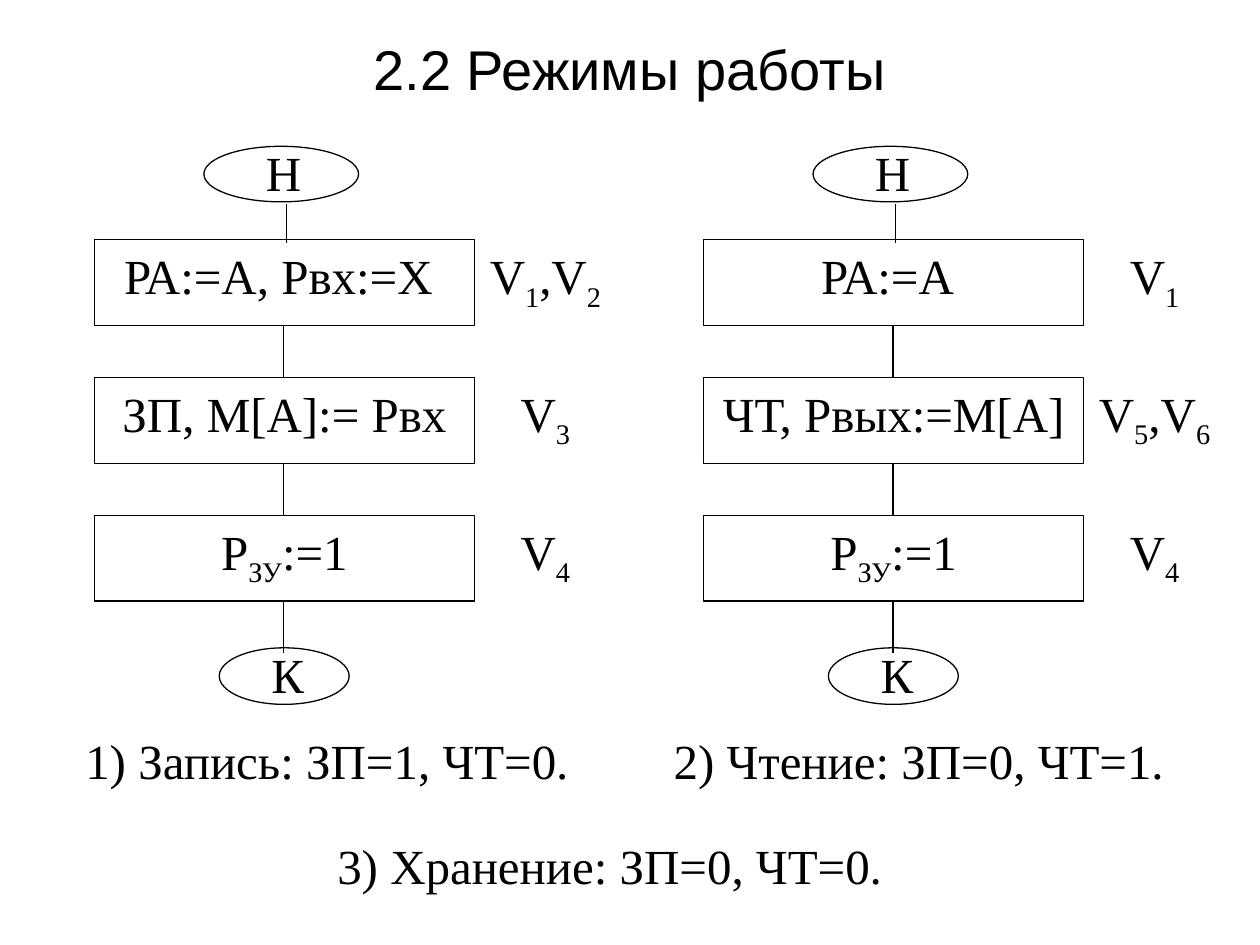
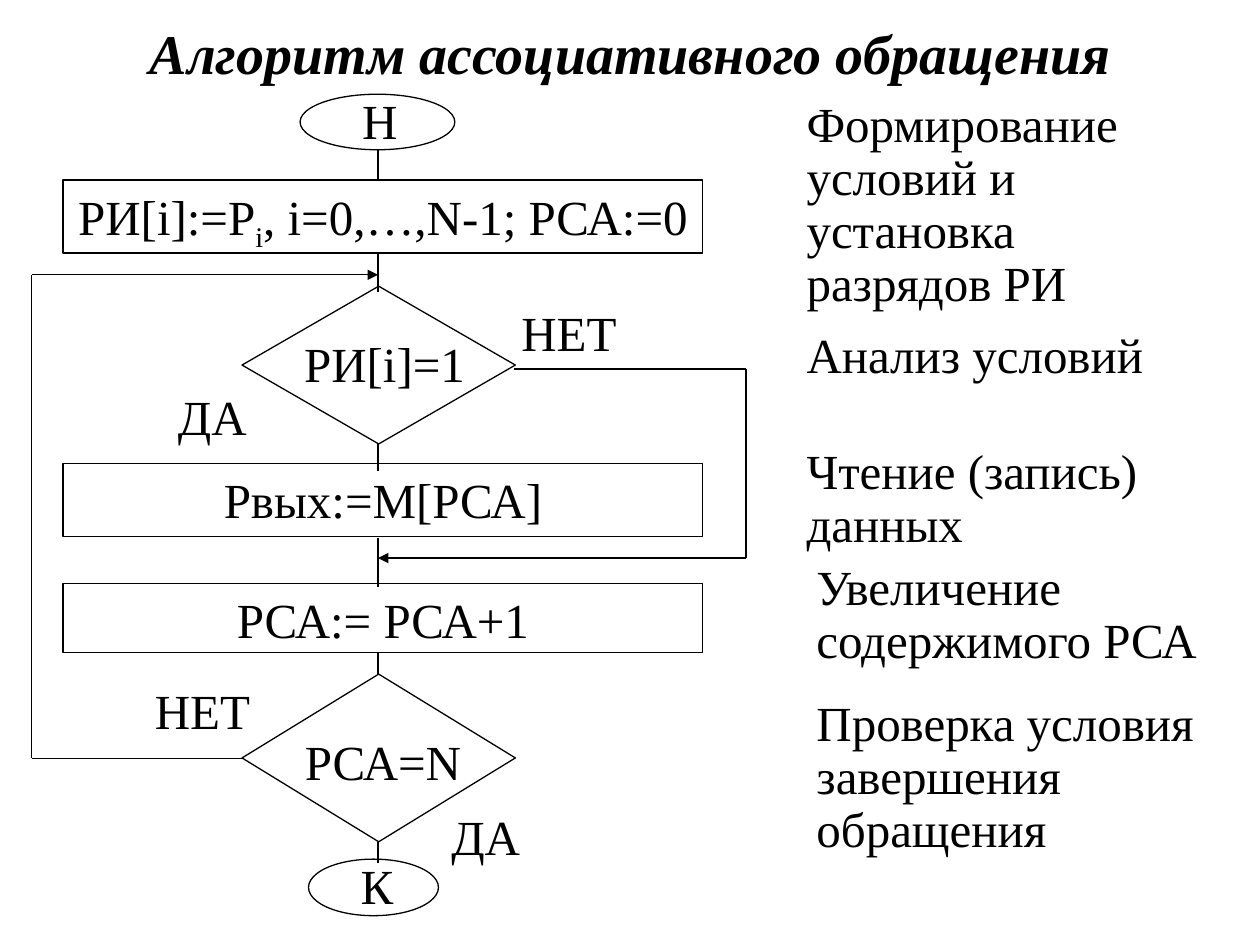
from lxml import etree
from pptx import Presentation
from pptx.dml.color import RGBColor
from pptx.enum.shapes import MSO_CONNECTOR, MSO_SHAPE
from pptx.enum.text import MSO_ANCHOR, PP_ALIGN
from pptx.oxml.ns import qn
from pptx.util import Cm, Pt

RECTANGLE = MSO_SHAPE.RECTANGLE
ELLIPSE = MSO_SHAPE.OVAL
DIAMOND = MSO_SHAPE.DIAMOND
STRAIGHT = MSO_CONNECTOR.STRAIGHT
LEFT, CENTER = PP_ALIGN.LEFT, PP_ALIGN.CENTER
TOP, MIDDLE = MSO_ANCHOR.TOP, MSO_ANCHOR.MIDDLE

# Shared look
INK = "000000"
PAPER = "FFFFFF"
LINE_WIDTH = Pt(0.75)
BODY_FONT = {"name": "Times New Roman", "size": Pt(28)}
TITLE_FONT = {"name": "Arial", "size": Pt(32)}
ITALIC_TITLE_FONT = {"name": "Times New Roman", "size": Pt(32), "bold": True, "italic": True}
CENTERED = {"alignment": CENTER}
CAPTION = {"alignment": LEFT, "space_before": Pt(7)}
NOTE = {**CAPTION, "line_spacing": 0.9}
NOTE_INDENT = Cm(0.97)

# Start and end symbols: ellipse size, label size, label shift (cm)
TERMINALS = {
    "Н": ((3.12, 1.12), (4.17, 1.52), (-0.48, -0.2)),
    "К": ((2.62, 1.14), (3.48, 1.27), (-0.36, -0.2)),
}


def colour(hex_value):
    return RGBColor.from_string(hex_value)


def set_attributes(target, values):
    for name, value in values.items():
        setattr(target, name, value)


def write_text(shape, text, font=BODY_FONT, layout=CENTERED, anchor=TOP):
    """Write one paragraph; parts between underscores become subscripts."""
    frame = shape.text_frame
    set_attributes(frame, {"word_wrap": True, "vertical_anchor": anchor})
    paragraph = frame.paragraphs[0]
    set_attributes(paragraph, layout)
    for index, part in enumerate(text.split("_")):
        if not part:
            continue
        run = paragraph.add_run()
        run.text = part
        set_attributes(run.font, font)
        run.font.color.rgb = colour(INK)
        if index % 2:
            run._r.get_or_add_rPr().set("baseline", "-25000")


def add_label(slide, box, text, **text_format):
    label = slide.shapes.add_textbox(*map(Cm, box))
    write_text(label, text, **text_format)
    return label


def add_outline(slide, kind, box):
    shape = slide.shapes.add_shape(kind, *map(Cm, box))
    shape.shadow.inherit = False
    shape.fill.background()
    shape.line.color.rgb = colour(INK)
    shape.line.width = LINE_WIDTH
    return shape


def add_process(slide, box, text):
    write_text(add_outline(slide, RECTANGLE, box), text)


def add_decision(slide, box, text, label_box):
    add_outline(slide, DIAMOND, box)
    add_label(slide, label_box, text)


def add_terminal(slide, left, top, text):
    size, label_size, (shift_x, shift_y) = TERMINALS[text]
    add_outline(slide, ELLIPSE, (left, top, *size))
    add_label(slide, (left + shift_x, top + shift_y, *label_size), text)


def add_path(slide, points, arrow=False):
    """Join the points by straight lines, with an optional arrowhead at the end."""
    for start, end in zip(points, points[1:]):
        connector = slide.shapes.add_connector(STRAIGHT, *map(Cm, (*start, *end)))
        connector.line.color.rgb = colour(INK)
        connector.line.width = LINE_WIDTH
        properties = connector._element.spPr
        etree.SubElement(properties, qn("a:effectLst"))
    if arrow:
        etree.SubElement(properties.find(qn("a:ln")), qn("a:tailEnd"), type="triangle")


def add_note(slide, box, text):
    note = add_label(slide, box, text, layout=NOTE)
    properties = note.text_frame.paragraphs[0]._p.get_or_add_pPr()
    properties.set("marL", str(NOTE_INDENT))


def add_slide(presentation, title, title_box, title_font):
    slide = presentation.slides.add_slide(presentation.slide_layouts[6])
    slide.background.fill.solid()
    slide.background.fill.fore_color.rgb = colour(PAPER)
    add_label(slide, title_box, title, font=title_font, anchor=MIDDLE)
    return slide


def add_mode_flowchart(slide, left, steps):
    """Draw one column: start, three operations with their signals, end."""
    axis = left + 3.82
    add_terminal(slide, left + 2.21, 2.95, "Н")
    add_path(slide, [(axis + 0.05, 4.11), (axis + 0.05, 4.9)])
    for row, (operation, signals) in enumerate(steps):
        top = 4.83 + row * 2.78
        add_process(slide, (left, top, 7.67, 1.73), operation)
        add_label(slide, (left + 7.01, top, 4.17, 1.52), signals)
        add_path(slide, [(axis, top + 1.73), (axis, top + 2.78)])
    add_terminal(slide, left + 2.52, 13.06, "К")


def build_modes(presentation):
    slide = add_slide(presentation, "2.2 Режимы работы",
                      (1.9, 0.64, 21.59, 1.47), TITLE_FONT)
    write_steps = [("РА:=А, Рвх:=Х ", "V_1_,V_2_"),
                   ("ЗП, М[А]:= Рвх", "V_3_"),
                   ("Р_ЗУ_:=1", "V_4_")]
    read_steps = [("РА:=А ", "V_1_"),
                  ("ЧТ, Рвых:=М[А]", "V_5_,V_6_"),
                  ("Р_ЗУ_:=1", "V_4_")]
    for left, steps in ((1.9, write_steps), (14.18, read_steps)):
        add_mode_flowchart(slide, left, steps)

    captions = [((1.47, 14.6, 10.36, 1.47), "1) Запись: ЗП=1, ЧТ=0."),
                ((13.33, 14.6, 10.59, 1.47), "2) Чтение: ЗП=0, ЧТ=1."),
                ((6.55, 16.71, 12.5, 1.47), "3) Хранение: ЗП=0, ЧТ=0.")]
    for box, text in captions:
        add_label(slide, box, text, layout=CAPTION)


def build_associative_access(presentation):
    slide = add_slide(presentation, "Алгоритм ассоциативного обращения",
                      (1.07, 0.2, 23.29, 1.7), ITALIC_TITLE_FONT)
    axis = 7.62

    # Flowchart nodes
    add_terminal(slide, 6.05, 1.9, "Н")
    for top, height, text in ((3.63, 1.47, "РИ[i]:=P_i_, i=0,…,N-1; РСА:=0"),
                              (9.35, 1.47, "Рвых:=М[РСА]"),
                              (11.76, 1.4, "РСА:= РСА+1")):
        add_process(slide, (1.27, top, 12.9, height), text)
    add_decision(slide, (4.88, 5.77, 5.51, 3.18), " РИ[i]=1", (5.28, 6.6, 4.7, 1.27))
    add_decision(slide, (4.88, 13.59, 5.51, 3.38), "РСА=N", (5.08, 14.63, 5.28, 1.27))
    add_terminal(slide, 6.22, 17.32, "К")

    # Links along the axis, the skip branch and the loop
    for start, end in ((3.0, 3.63), (5.13, 5.89), (8.94, 9.5),
                       (10.85, 11.84), (13.16, 13.59), (16.97, 17.4)):
        add_path(slide, [(axis, start), (axis, end)])
    add_path(slide, [(10.36, 7.44), (15.04, 7.44), (15.04, 11.25), (axis, 11.25)], arrow=True)
    add_path(slide, [(4.88, 15.29), (0.64, 15.29), (0.64, 5.54), (axis, 5.54)], arrow=True)

    # Branch answers
    for left, top, text in ((2.54, 7.67, "ДА"), (9.73, 5.97, "НЕТ"),
                            (8.05, 16.13, "ДА"), (2.34, 13.59, "НЕТ")):
        add_label(slide, (left, top, 3.48, 1.27), text)

    # Explanations on the right
    notes = [(15.04, 1.9, 4.65, "Формирование условий и установка разрядов РИ"),
             (15.04, 6.55, 1.9, "Анализ условий"),
             (15.04, 8.89, 1.9, "Чтение (запись) данных"),
             (15.24, 11.23, 1.9, "Увеличение содержимого РСА"),
             (15.24, 13.97, 3.81, "Проверка условия завершения обращения")]
    for left, top, height, text in notes:
        add_note(slide, (left, top, 9.32, height), text)


def main():
    presentation = Presentation()
    presentation.slide_width = Cm(25.4)
    presentation.slide_height = Cm(19.05)
    build_modes(presentation)
    build_associative_access(presentation)
    presentation.save("out.pptx")


if __name__ == "__main__":
    main()
